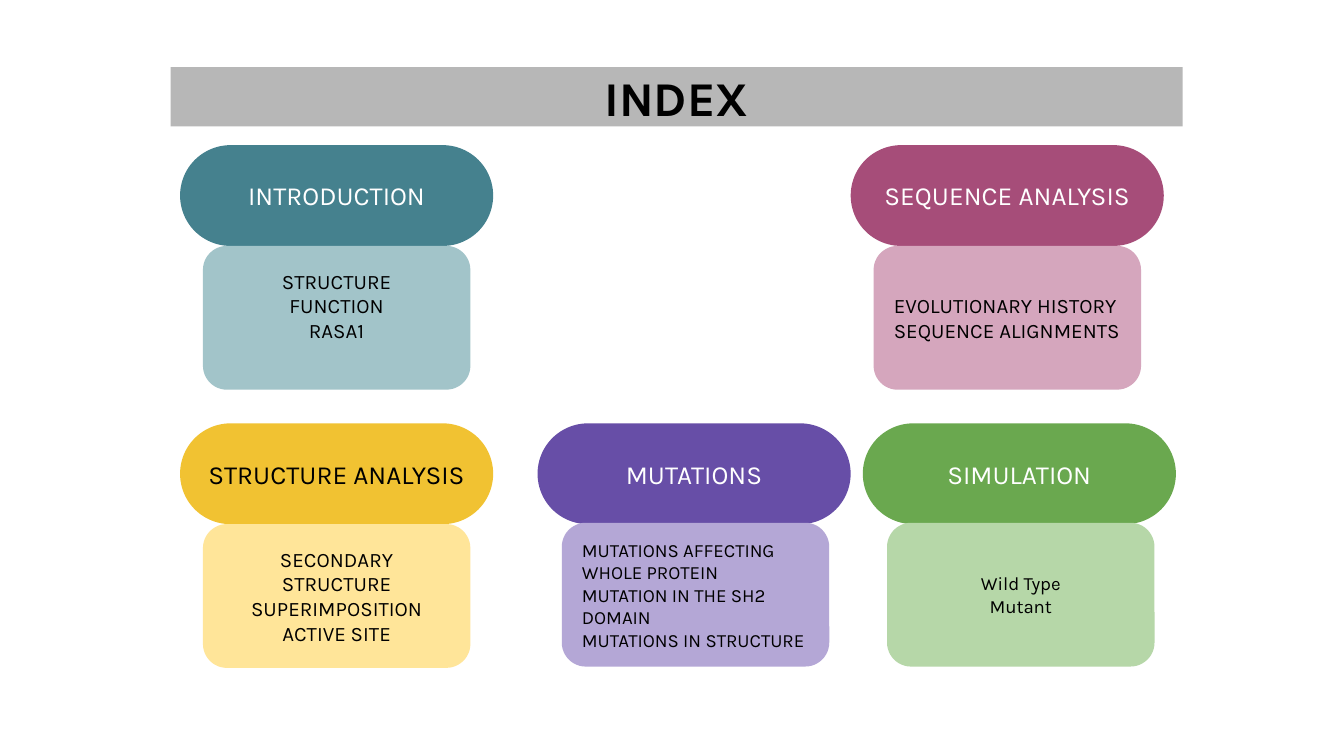
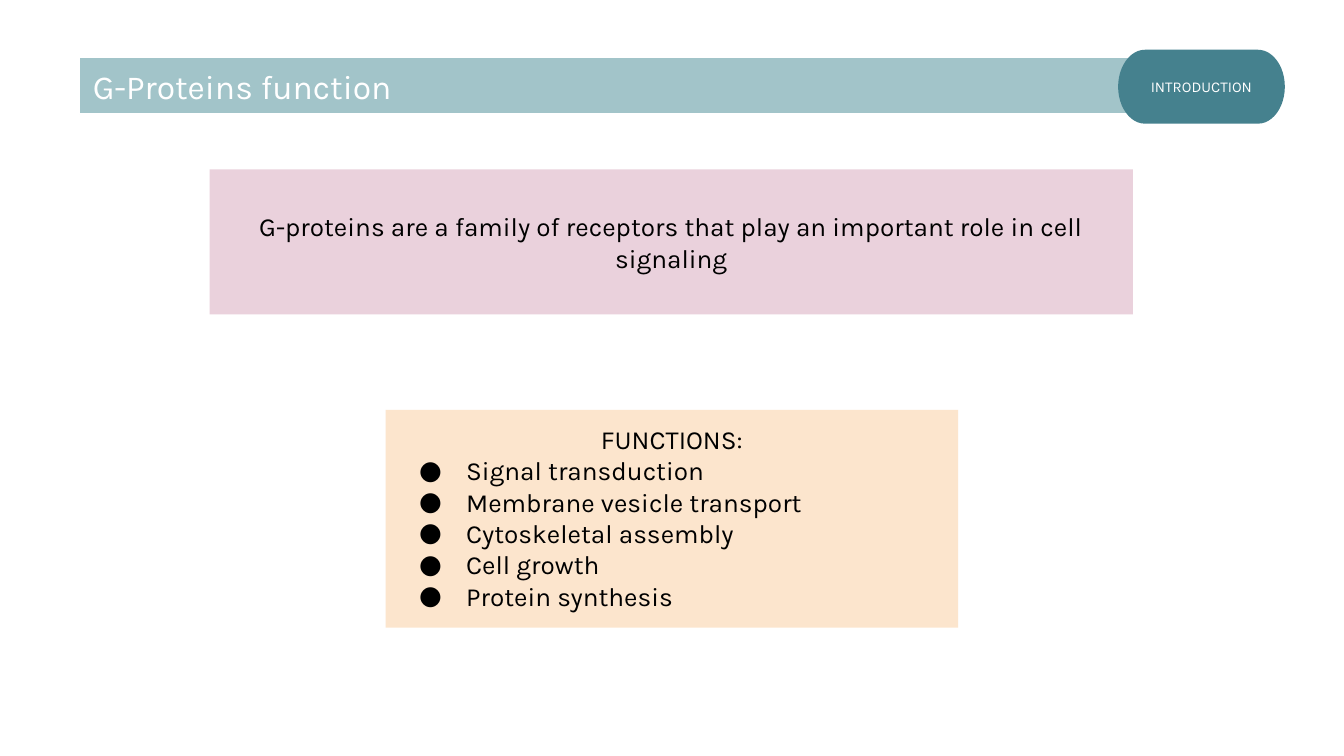
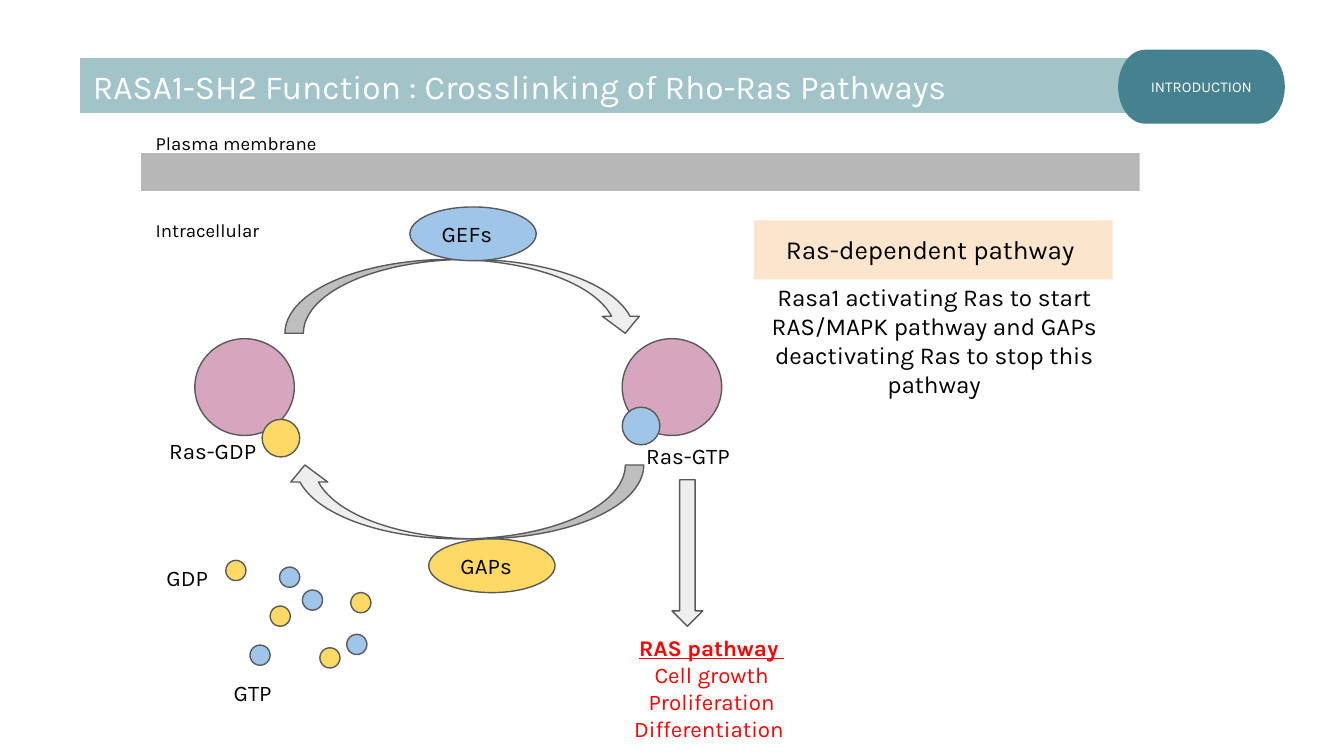
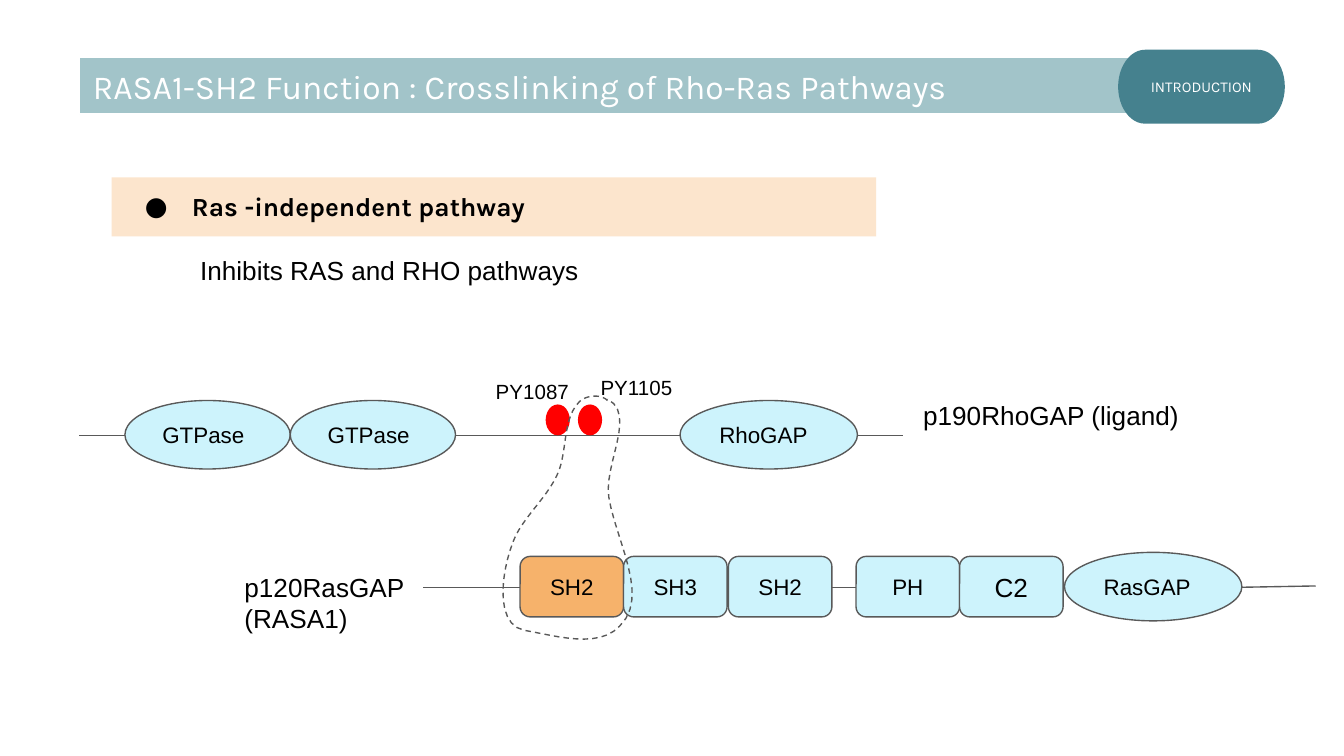
from lxml import etree
from pptx import Presentation
from pptx import util as u
from pptx.dml.color import RGBColor
from pptx.enum import dml, shapes, text
from pptx.oxml.ns import qn

PX = 9144
HUE = {
    "black": "000000", "white": "FFFFFF", "grey": "B7B7B7", "edge": "595959",
    "pale": "EEEEEE", "teal": "45818E", "mist": "A2C4C9", "gold": "F1C232",
    "cream": "FFE599", "plum": "A64D79", "pink": "D5A6BD", "violet": "674EA7",
    "lilac": "B4A7D6", "green": "6AA84F", "mint": "B6D7A8", "rose": "EAD1DC",
    "peach": "FCE5CD", "sun": "FFD966", "sky": "9FC5E8", "ice": "CDF3FC",
    "amber": "F6B26B", "red": "FF0000",
}
TONE = {key: RGBColor.from_string(code) for key, code in HUE.items()}
KIND = shapes.MSO_SHAPE
RECT, PILL, CARD, OVAL = KIND.RECTANGLE, KIND.FLOWCHART_TERMINATOR, KIND.ROUNDED_RECTANGLE, KIND.OVAL
LEFT, MID, FULL = text.PP_ALIGN.LEFT, text.PP_ALIGN.CENTER, text.PP_ALIGN.JUSTIFY
TOP, HALF = text.MSO_ANCHOR.TOP, text.MSO_ANCHOR.MIDDLE

deck = Presentation()
deck.slide_width, deck.slide_height = 1000 * PX, 1125 * PX // 2


def put(slide, kind, box, fill=None, words="", size=12, tone="black", align=LEFT,
        anchor=HALF, edge=None, face="Karla", bold=False, low=10):
    place = [n * PX for n in box]
    if kind == "title":
        shape = slide.shapes.title
        for key, val in zip(("left", "top", "width", "height"), place):
            setattr(shape, key, val)
    elif kind is None:
        shape = slide.shapes.add_textbox(*place)
    else:
        shape = slide.shapes.add_shape(kind, *place)
    shape.shadow.inherit = False
    if fill:
        shape.fill.solid()
        shape.fill.fore_color.rgb = TONE[fill]
    if edge:
        shape.line.color.rgb = TONE[edge]
        shape.line.width = u.Pt(0.75)
    else:
        shape.line.fill.background()
    if not words:
        return shape
    frame = shape.text_frame
    look = {"margin_left": 10 * PX, "margin_right": 10 * PX, "margin_top": 10 * PX,
            "margin_bottom": low * PX, "word_wrap": True, "vertical_anchor": anchor,
            "auto_size": text.MSO_AUTO_SIZE.NONE}
    for key, val in look.items():
        setattr(frame, key, val)
    for n, line in enumerate(words.split("\n")):
        para = frame.add_paragraph() if n else frame.paragraphs[0]
        para.alignment = align
        if line.startswith("●"):
            para.alignment = FULL
            props = para._p.get_or_add_pPr()
            props.set("marL", str(50 * PX))
            props.set("indent", str(-35 * PX))
            etree.SubElement(props, qn("a:buFont")).set("typeface", face)
            etree.SubElement(props, qn("a:buChar")).set("char", "●")
            line = line[2:]
        run = para.add_run()
        run.text = line
        run.font.color.rgb = TONE[tone]
        for key, val in {"name": face, "size": u.Pt(size), "bold": bold}.items():
            setattr(run.font, key, val)
    return shape


def start(title):
    slide = deck.slides.add_slide(deck.slide_layouts[5])
    put(slide, "title", (59, 43, 790, 42), "mist", title, 18, "white", edge="white")
    put(slide, PILL, (832, 37, 124, 55), "teal", "INTRODUCTION", 8, "white", MID)
    return slide


index = deck.slides.add_slide(deck.slide_layouts[5])
put(index, "title", (127, 50, 753, 44), "grey", "INDEX", 26, align=MID, bold=True)
cards = [
    (134, 108, 17, 75, "INTRODUCTION", "teal", "white", "mist",
     "STRUCTURE\nFUNCTION\nRASA1", 11, MID, 28),
    (134, 315, 17, 75, "STRUCTURE ANALYSIS", "gold", "black", "cream",
     "SECONDARY STRUCTURE\nSUPERIMPOSITION\nACTIVE SITE", 11, MID, 10),
    (633, 108, 17, 75, "SEQUENCE ANALYSIS", "plum", "white", "pink",
     "EVOLUTIONARY HISTORY\nSEQUENCE ALIGNMENTS", 11, LEFT, 10),
    (400, 315, 18, 74, "MUTATIONS", "violet", "white", "lilac",
     "MUTATIONS AFFECTING WHOLE PROTEIN\nMUTATION IN THE SH2 DOMAIN\nMUTATIONS IN STRUCTURE", 10, LEFT, 10),
    (642, 315, 18, 74, "SIMULATION", "green", "white", "mint", "Wild Type\nMutant", 10, MID, 10),
]
for x, y, over, down, name, dark, tone, light, parts, size, align, low in cards:
    put(index, PILL, (x, y, 233, 75), dark, name, 14, tone, MID)
    put(index, CARD, (x + over, y + down, 199, 107), light, parts, size, align=align, low=low)

role = start("G-Proteins function")
put(role, RECT, (156, 126, 687, 108), "rose",
    "G-proteins are a family of receptors that play an important role in cell signaling", 14, align=MID)
put(role, RECT, (287, 305, 426, 162), "peach",
    "FUNCTIONS:\n● Signal transduction\n● Membrane vesicle transport\n"
    "● Cytoskeletal assembly\n● Cell growth\n● Protein synthesis", 14, align=MID, anchor=TOP)

cross = "RASA1-SH2 Function : Crosslinking of Rho-Ras Pathways"
cycle = start(cross)
put(cycle, RECT, (105, 114, 743, 28), "grey")
for x in (145, 463):
    put(cycle, OVAL, (x, 252, 74, 72), "pink", edge="edge")
put(cycle, OVAL, (195, 312, 28, 28), "sun", edge="edge")
put(cycle, OVAL, (463, 303, 28, 28), "sky", edge="edge")
for x, y, wide, turn in ((212, 193, 267, 0), (213, 346, 266, 180)):
    arrow = put(cycle, KIND.CURVED_DOWN_ARROW, (x, y, wide, 55), "pale", edge="edge")
    arrow.adjustments[2] = 0.23
    arrow.rotation = turn
put(cycle, OVAL, (305, 154, 94, 40), "sky", "GEFs", edge="edge")
put(cycle, OVAL, (319, 401, 94, 40), "sun", "GAPs", edge="edge")
dots = {
    "sun": [(168, 417), (261, 441), (201, 451), (238, 482)],
    "sky": [(208, 422), (225, 439), (186, 480), (258, 472)],
}
for fill, spots in dots.items():
    for x, y in spots:
        put(cycle, OVAL, (x, y, 15, 15), fill, edge="edge")
put(cycle, KIND.DOWN_ARROW, (500, 357, 23, 109), "pale", edge="edge")
labels = [
    ("Plasma membrane", 106, 88, 160, 37, 10), ("Intracellular", 106, 153, 109, 37, 10),
    ("Ras-GDP", 116, 315, 115, 40, 12), ("Ras-GTP", 471, 319, 115, 40, 12),
    ("GDP", 114, 410, 59, 40, 12), ("GTP", 164, 495, 59, 40, 12),
]
for words, *box, size in labels:
    put(cycle, None, box, None, words, size, anchor=TOP)
goal = put(cycle, None, (452, 462, 155, 101), None,
           "RAS pathway \nCell growth\nProliferation\nDifferentiation ", 12, "red", MID, TOP)
lead = goal.text_frame.paragraphs[0].runs[0].font
lead.bold = lead.underline = True
put(cycle, RECT, (561, 164, 267, 44), "peach", "Ras-dependent pathway ", 14, align=MID, anchor=TOP)
put(cycle, None, (552, 200, 286, 108), None,
    "Rasa1 activating Ras to start RAS/MAPK pathway and GAPs deactivating Ras to stop this pathway",
    13, align=MID, anchor=TOP)

chain = start(cross)
put(chain, RECT, (83, 132, 569, 44), "peach", "● Ras -independent pathway", 14, anchor=TOP, bold=True)
links = [(59, 324, 93, 324), (339, 324, 506, 324), (638, 324, 672, 324),
         (315, 437, 387, 437), (619, 437, 637, 437), (924, 437, 979, 436)]
for ends in links:
    link = chain.shapes.add_connector(shapes.MSO_CONNECTOR.STRAIGHT, *[n * PX for n in ends])
    link.line.color.rgb = TONE["edge"]
    link.line.width = u.Pt(0.75)
    etree.SubElement(link._element.spPr, qn("a:effectLst"))
for name, x, y, wide in (("GTPase", 93, 298, 123), ("GTPase", 216, 298, 123),
                         ("RhoGAP", 506, 298, 132), ("RasGAP", 792, 411, 132)):
    put(chain, OVAL, (x, y, wide, 51), "ice", name, edge="edge", face="Arial")
for name, x, fill, size in (("SH2", 387, "amber", 12), ("SH3", 464, "ice", 12), ("SH2", 542, "ice", 12),
                            ("PH", 637, "ice", 12), ("C2", 714, "ice", 14)):
    put(chain, CARD, (x, 414, 77, 45), fill, name, size, align=MID, edge="edge", face="Arial")
for x in (406, 430):
    put(chain, OVAL, (x, 301, 18, 23), "red")

curves = [
    ((447, 293), (436, 294), (431, 299)), ((419, 311), (422, 333), (416, 350)),
    ((409, 368), (393, 381), (384, 398)), ((374, 419), (366, 464), (390, 469)),
    ((413, 473), (445, 483), (461, 466)), ((484, 444), (458, 402), (453, 370)),
    ((449, 346), (474, 308), (452, 297)),
]
last = (452, 298)
trail = chain.shapes.build_freeform(last[0] * PX, last[1] * PX)
for one, two, end in curves:
    steps = [n / 12 for n in range(1, 13)]
    trail.add_line_segments([
        tuple(round(PX * (a * (1 - t) ** 3 + 3 * b * t * (1 - t) ** 2 + 3 * c * t * t * (1 - t) + d * t ** 3))
              for a, b, c, d in zip(last, one, two, end))
        for t in steps], close=False)
    last = end
loop = trail.convert_to_shape()
loop.shadow.inherit = False
loop.fill.background()
loop.line.color.rgb = TONE["edge"]
for key, val in {"width": u.Pt(0.75), "dash_style": dml.MSO_LINE.DASH}.items():
    setattr(loop.line, key, val)

notes = [
    ("Inhibits RAS and RHO pathways", 139, 179, 408, 44, 14),
    ("p190RhoGAP (ligand)", 677, 287, 244, 44, 14),
    ("p120RasGAP (RASA1)", 172, 415, 167, 67, 14),
    ("PY1087", 359, 272, 88, 39, 11), ("PY1105", 437, 269, 88, 39, 11),
]
for words, *box, size in notes:
    put(chain, None, box, None, words, size, anchor=TOP, face="Arial")

deck.save("out.pptx")
